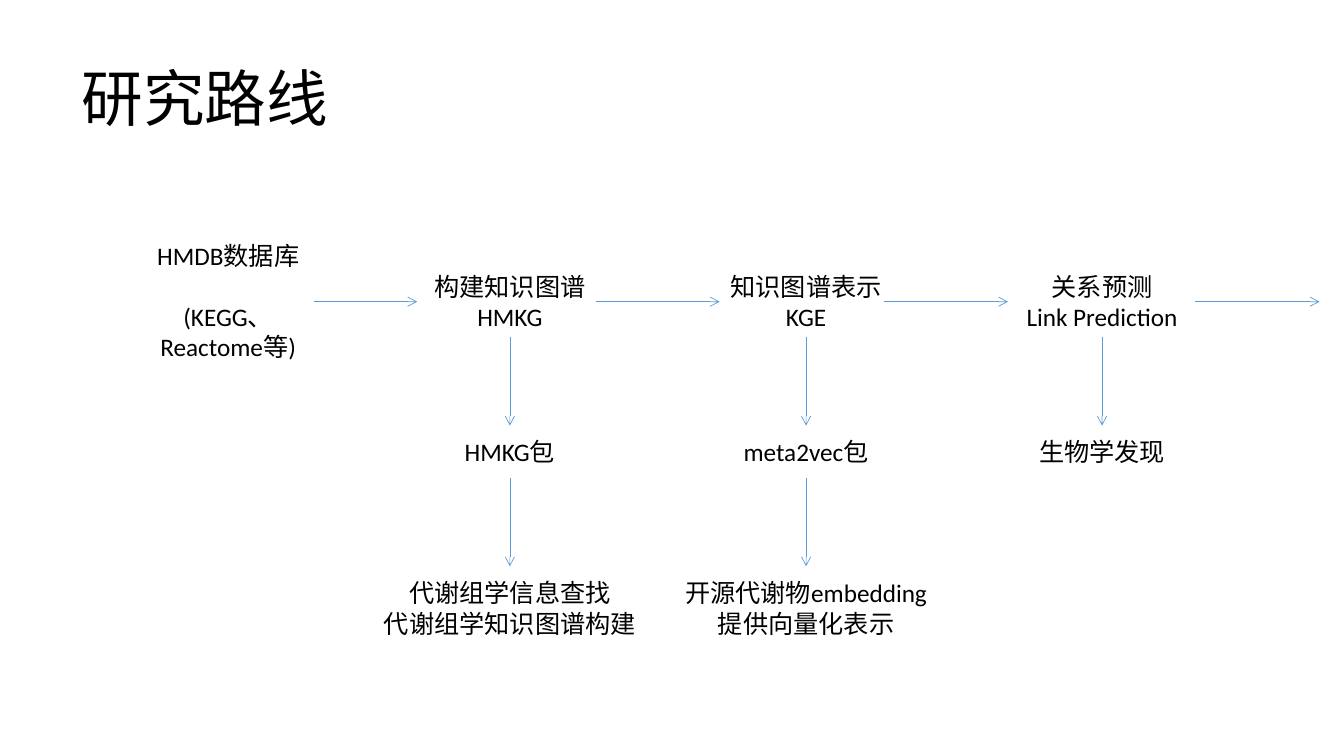
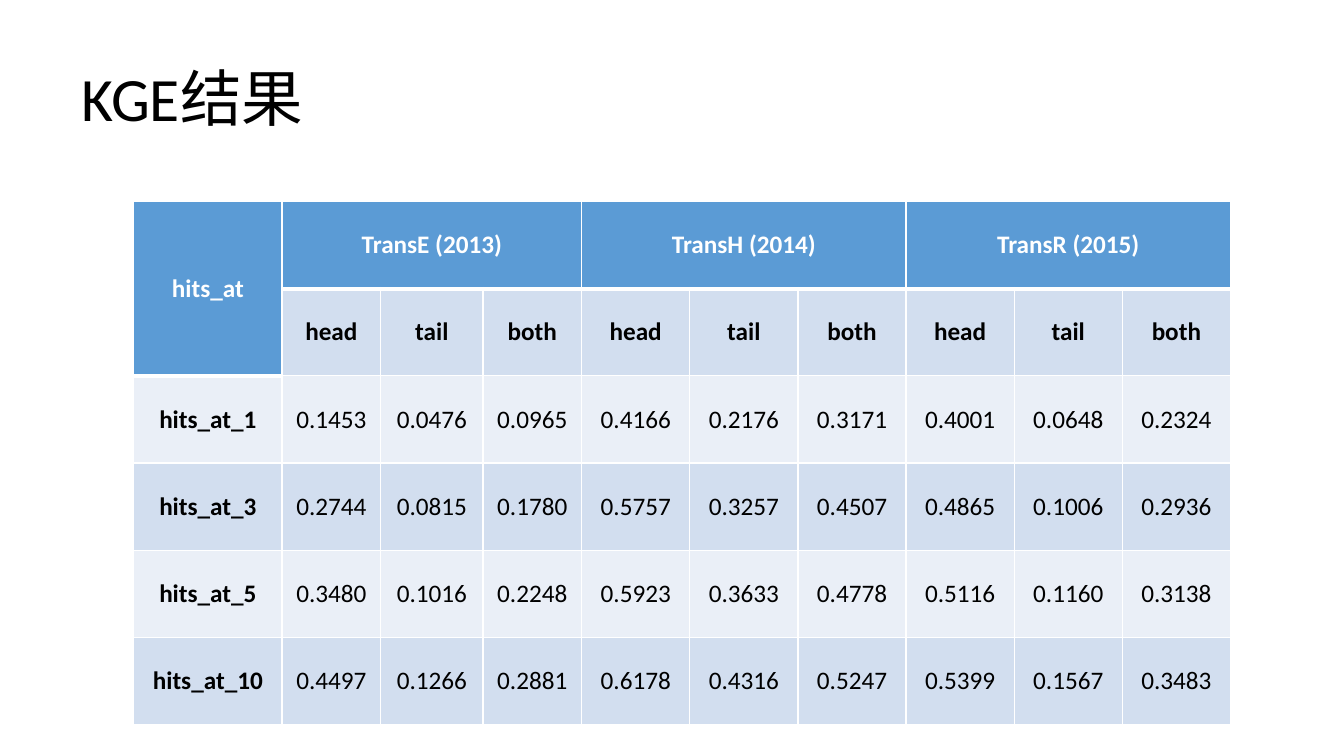
from lxml import etree
from pptx import Presentation
from pptx.dml.color import RGBColor
from pptx.enum import shapes, text
from pptx.oxml import ns
from pptx.util import Pt

FONT = "Calibri"
HUES = {"blue": "5B9BD5", "mid": "D2DEEF", "pale": "EAEFF7",
        "white": "FFFFFF", "black": "000000"}

# Flow chart: column centres, row tops, arrow rules
COLS = [163, 364.2, 575.8, 787.2]
ROWS = [190, 308, 409]
MID = 215.5
SPANS = [(224, 298), (425.5, 514), (631.5, 720), (853.5, 942.5)]
DROP = 63
STEPS = [  # column, row, width, lines
    (1, 0, 126, ["构建知识图谱", "HMKG"]),
    (2, 0, 126, ["知识图谱表示", "KGE"]),
    (3, 0, 138, ["关系预测", "Link Prediction"]),
    (1, 1, 90, ["HMKG包"]),
    (2, 1, 114, ["meta2vec包"]),
    (3, 1, 108, ["生物学发现"]),
    (1, 2, 200, ["代谢组学信息查找", "代谢组学知识图谱构建"]),
    (2, 2, 200, ["开源代谢物embedding", "提供向量化表示"]),
]

# Result table
MODELS = ["TransE (2013)", "TransH (2014)", "TransR (2015)"]
SIDES = ["head", "tail", "both"]
HITS = {
    "hits_at_1": [0.1453, 0.0476, 0.0965, 0.4166, 0.2176, 0.3171, 0.4001, 0.0648, 0.2324],
    "hits_at_3": [0.2744, 0.0815, 0.1780, 0.5757, 0.3257, 0.4507, 0.4865, 0.1006, 0.2936],
    "hits_at_5": [0.3480, 0.1016, 0.2248, 0.5923, 0.3633, 0.4778, 0.5116, 0.1160, 0.3138],
    "hits_at_10": [0.4497, 0.1266, 0.2881, 0.6178, 0.4316, 0.5247, 0.5399, 0.1567, 0.3483],
}
WIDTHS = [106, 70.5, 73, 70.5] + [77.25] * 6
HIGH = 62.25


def rgb(name):
    return RGBColor.from_string(HUES[name])


def style(para, size=18, hue="black", bold=False, align=text.PP_ALIGN.CENTER):
    para.alignment = align
    for run in para.runs:
        font = run.font
        font.name, font.size, font.bold = FONT, Pt(size), bold
        font.color.rgb = rgb(hue)


def set_up(deck):
    """Place the title once, on the shared layout."""
    deck.slide_width, deck.slide_height = Pt(960), Pt(540)
    page = deck.slide_layouts[5]
    title = page.placeholders[0]
    title.left, title.top, title.width, title.height = Pt(51), Pt(20), Pt(828), Pt(104.5)
    return page


def add_page(deck, page, name):
    slide = deck.slides.add_slide(page)
    frame = slide.shapes.title.text_frame
    frame.text = name
    frame.auto_size = text.MSO_AUTO_SIZE.NONE
    frame.vertical_anchor = text.MSO_ANCHOR.MIDDLE
    para = frame.paragraphs[0]
    para.line_spacing = 0.9
    style(para, 44, align=text.PP_ALIGN.LEFT)
    return slide


def add_label(slide, mid, top, width, lines):
    high = 7.2 + 21.9 * len(lines)
    box = slide.shapes.add_textbox(Pt(mid - width / 2), Pt(top), Pt(width), Pt(high))
    frame = box.text_frame
    frame.text = "\n".join(lines)
    frame.word_wrap = False
    frame.auto_size = text.MSO_AUTO_SIZE.SHAPE_TO_FIT_TEXT
    for para in frame.paragraphs:
        style(para)
    return box


def add_arrow(slide, x1, y1, x2, y2):
    line = slide.shapes.add_connector(
        shapes.MSO_CONNECTOR.STRAIGHT, Pt(x1), Pt(y1), Pt(x2), Pt(y2))
    line.line.color.rgb = rgb("blue")
    line.line.width = Pt(0.5)
    props = line._element.spPr
    etree.SubElement(props.find(ns.qn("a:ln")), ns.qn("a:tailEnd"), type="arrow")
    etree.SubElement(props, ns.qn("a:effectLst"))


def add_edges(cell, **widths):
    """White borders; widths are keyed by side: L, R, T, B."""
    props = cell._tc.get_or_add_tcPr()
    for side in "LRTB":
        edge = etree.SubElement(props, ns.qn("a:ln" + side), w=str(Pt(widths.get(side, 1))))
        fill = etree.SubElement(edge, ns.qn("a:solidFill"))
        etree.SubElement(fill, ns.qn("a:srgbClr"), val=HUES["white"])


def add_grid(slide, rows):
    frame = slide.shapes.add_table(
        len(rows), len(WIDTHS), Pt(95.5), Pt(144), Pt(sum(WIDTHS)), Pt(HIGH * len(rows)))
    grid = frame.table
    grid.horz_banding = False
    for col, width in zip(grid.columns, WIDTHS):
        col.width = Pt(width)
    for r, row in enumerate(rows):
        grid.rows[r].height = Pt(HIGH)
        for c, value in enumerate(row):
            cell = grid.cell(r, c)
            cell.text = value
            cell.vertical_anchor = text.MSO_ANCHOR.MIDDLE
            last = 1 if c == 0 else 0  # last header row in this column
            head = r <= last
            add_edges(cell, B=3 if r == last else 1, T=3 if r == last + 1 else 1)
            cell.fill.solid()
            cell.fill.fore_color.rgb = rgb("blue" if head else "mid" if r % 2 else "pale")
            style(cell.text_frame.paragraphs[0], hue="white" if head else "black",
                  bold=r < 2 or c == 0)
    # Merge the heads
    grid.cell(0, 0).merge(grid.cell(1, 0))
    for c in range(1, len(WIDTHS), len(SIDES)):
        grid.cell(0, c).merge(grid.cell(0, c + len(SIDES) - 1))


def draw_route(slide):
    # Data source, with a gap above its second part
    source = add_label(slide, COLS[0], 168, 126, ["HMDB数据库", "(KEGG、", "Reactome等)"])
    source.text_frame.paragraphs[1].space_before = Pt(22)
    # Steps
    for col, row, width, lines in STEPS:
        add_label(slide, COLS[col], ROWS[row], width, lines)
    # Arrows across, then down
    for start, end in SPANS:
        add_arrow(slide, start, MID, end, MID)
    for col, top in [(1, 241), (2, 241), (3, 241), (1, 341.5), (2, 341.5)]:
        add_arrow(slide, COLS[col], top, COLS[col], top + DROP)


def draw_scores(slide):
    heads = ["hits_at"]
    for model in MODELS:
        heads += [model, "", ""]
    rows = [heads, [""] + SIDES * len(MODELS)]
    rows += [[name] + [f"{hit:.4f}" for hit in hits] for name, hits in HITS.items()]
    add_grid(slide, rows)


def main():
    deck = Presentation()
    page = set_up(deck)
    draw_route(add_page(deck, page, "研究路线"))
    draw_scores(add_page(deck, page, "KGE结果"))
    deck.save("out.pptx")


if __name__ == "__main__":
    main()
